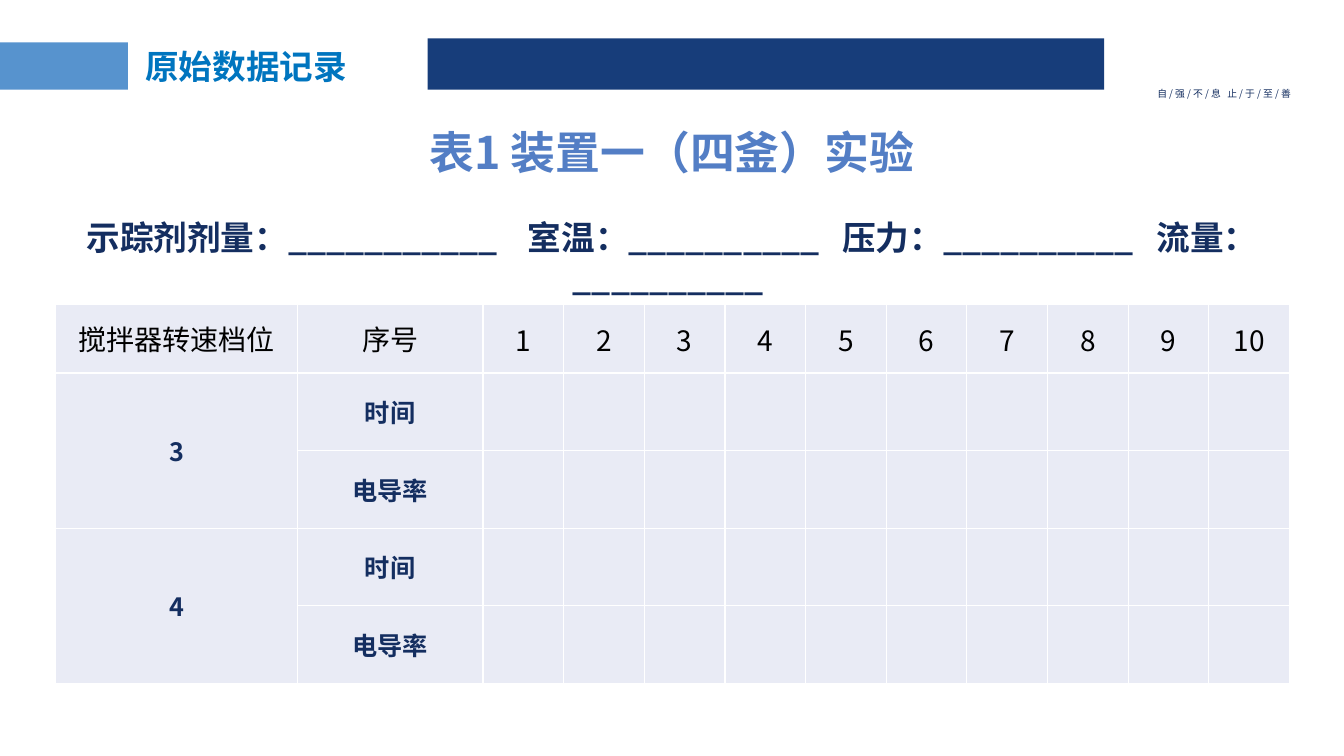
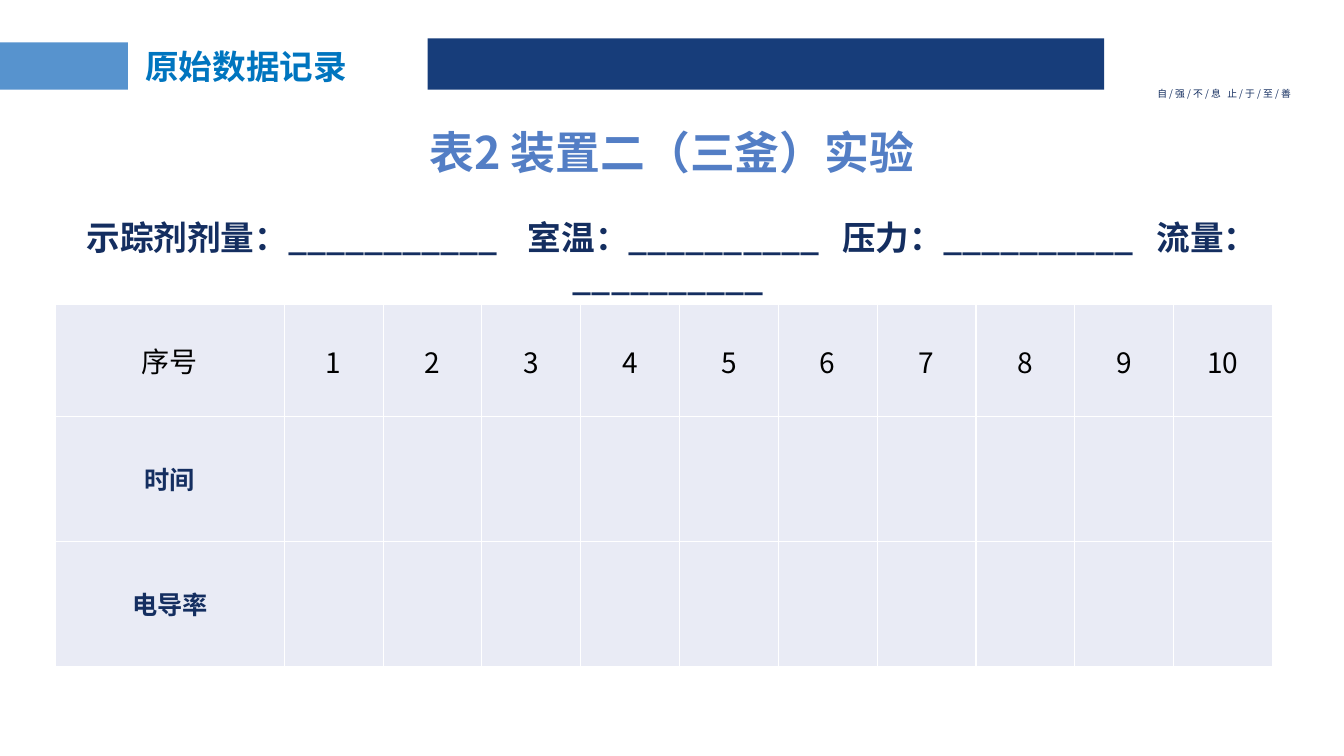
from pptx import Presentation
from pptx.dml.color import RGBColor
from pptx.enum import shapes, text
from pptx.oxml.ns import qn
from pptx.util import Inches, Pt

FONT = "Noto Sans CJK SC"
HUES = {
    "navy": "173D7A", "sky": "5793CE", "ink": "142E60", "head": "0075BF",
    "table": "537EC5", "cell": "E9EBF5", "black": "000000",
}
FIELDS = ["示踪剂剂量：___________", "室温：__________", "压力：__________", "流量：__________ "]
MOTTO = ["自 / 强 / 不 / 息", "止 / 于 / 至 / 善"]
NUMS = [str(n) for n in range(1, 11)]
PAIR = ["时间", "电导率"]


def hue(name):
    return RGBColor.from_string(HUES[name])


def style(para, size, color, bold=False, align=text.PP_ALIGN.CENTER):
    para.alignment = align
    for run in para.runs:
        font = run.font
        font.name, font.size, font.bold = FONT, Pt(size), bold
        font.color.rgb = hue(color)
        east = run._r.get_or_add_rPr().makeelement(qn("a:ea"), {"typeface": FONT})
        font._element.find(qn("a:latin")).addnext(east)


def join(para, parts, gaps):
    for part, gap in zip(parts, gaps + [0]):
        para.add_run().text = part
        if gap:
            run = para.add_run()
            run.text = " "
            run._r.get_or_add_rPr().set("spc", str(gap * 100))


def band(slide, box, color):
    rect = slide.shapes.add_shape(shapes.MSO_SHAPE.RECTANGLE, *map(Inches, box))
    rect.shadow.inherit = False
    rect.fill.solid()
    rect.fill.fore_color.rgb = hue(color)
    rect.line.fill.background()


def label(slide, box, parts, gaps, size, color, bold=True, align=text.PP_ALIGN.CENTER):
    frame = slide.shapes.add_textbox(*map(Inches, box)).text_frame
    frame.word_wrap = True
    frame.auto_size = text.MSO_AUTO_SIZE.SHAPE_TO_FIT_TEXT
    para = frame.paragraphs[0]
    join(para, parts, gaps)
    style(para, size, color, bold, align)


def title(slide, words):
    shape = slide.shapes.title
    shape.left, shape.top, shape.width, shape.height = map(Inches, (1.34, 0.45, 2.89, 0.47))
    frame = shape.text_frame
    frame.text = words
    frame.auto_size = text.MSO_AUTO_SIZE.NONE
    frame.vertical_anchor = text.MSO_ANCHOR.MIDDLE
    para = frame.paragraphs[0]
    para.line_spacing = 0.9
    style(para, 24, "head", True, text.PP_ALIGN.LEFT)


def grid(slide, cols, rows, data):
    frame = slide.shapes.add_table(
        len(rows), len(cols), Inches(0.55), Inches(3.02), Inches(sum(cols)), Inches(sum(rows)))
    table = frame.table
    table.first_row = table.horz_banding = False
    for col, width in zip(table.columns, cols):
        col.width = Inches(width)
    for row, height in zip(table.rows, rows):
        row.height = Inches(height)
    for r in range(len(rows)):
        for c in range(len(cols)):
            cell = table.cell(r, c)
            cell.fill.solid()
            cell.fill.fore_color.rgb = hue("cell")
            cell.vertical_anchor = text.MSO_ANCHOR.MIDDLE
            if c < len(data[r]) and data[r][c]:
                cell.text = data[r][c]
                look = (18, "ink", True) if r else (20, "black")
                style(cell.text_frame.paragraphs[0], *look)
            if r == 0 and data[r][c] in NUMS:
                cell.margin_left = cell.margin_right = cell.margin_top = Inches(0.01)
                cell.margin_bottom = 0
    return table


def page(deck, caption):
    slide = deck.slides.add_slide(deck.slide_layouts[5])
    band(slide, (4.24, 0.38, 6.71, 0.51), "navy")
    band(slide, (0, 0.42, 1.27, 0.47), "sky")
    label(slide, (11.38, 0.82, 1.73, 0.22), MOTTO, [3], 7, "ink", False, text.PP_ALIGN.LEFT)
    title(slide, "原始数据记录")
    label(slide, (3.41, 1.19, 6.51, 0.64), [caption], [], 32, "table")
    label(slide, (-0.01, 2.1, 13.35, 0.51), FIELDS, [16, 11, 11], 24, "ink")
    return slide


def main():
    deck = Presentation()
    deck.slide_width, deck.slide_height = Inches(13.33), Inches(7.5)

    four = page(deck, "表1 装置一（四釜）实验")
    data = [["搅拌器转速档位", "序号"] + NUMS]
    for speed in ("3", "4"):
        data += [[speed, PAIR[0]], ["", PAIR[1]]]
    table = grid(four, [2.4, 1.84] + [0.8] * 10, [0.68] + [0.77] * 4, data)
    for top in (1, 3):
        table.cell(top, 0).merge(table.cell(top + 1, 0))

    three = page(deck, "表2 装置二（三釜）实验")
    data = [["序号"] + NUMS] + [[name] for name in PAIR]
    grid(three, [2.27] + [0.98] * 10, [1.11] + [1.24] * 2, data)

    deck.save("out.pptx")


if __name__ == "__main__":
    main()
